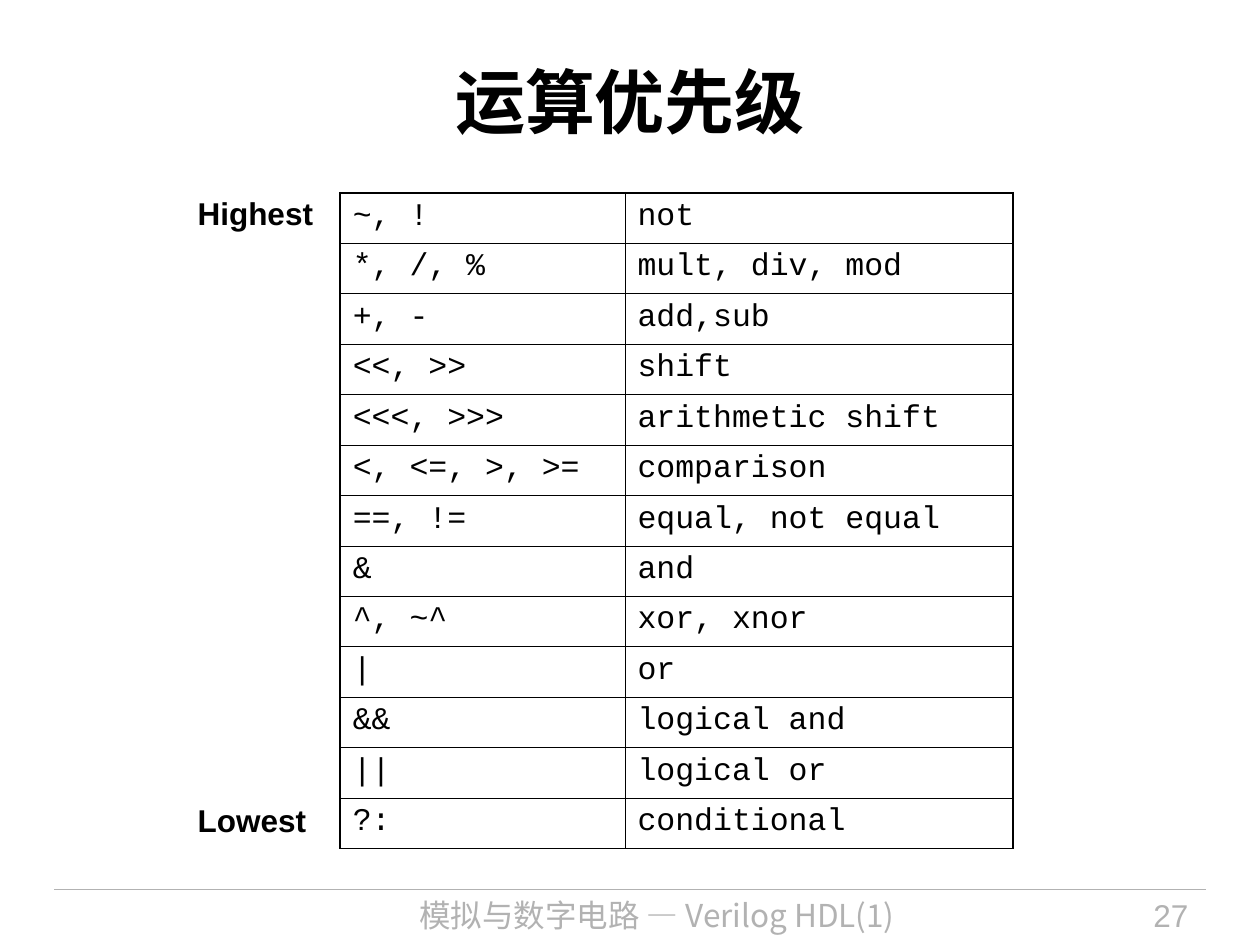
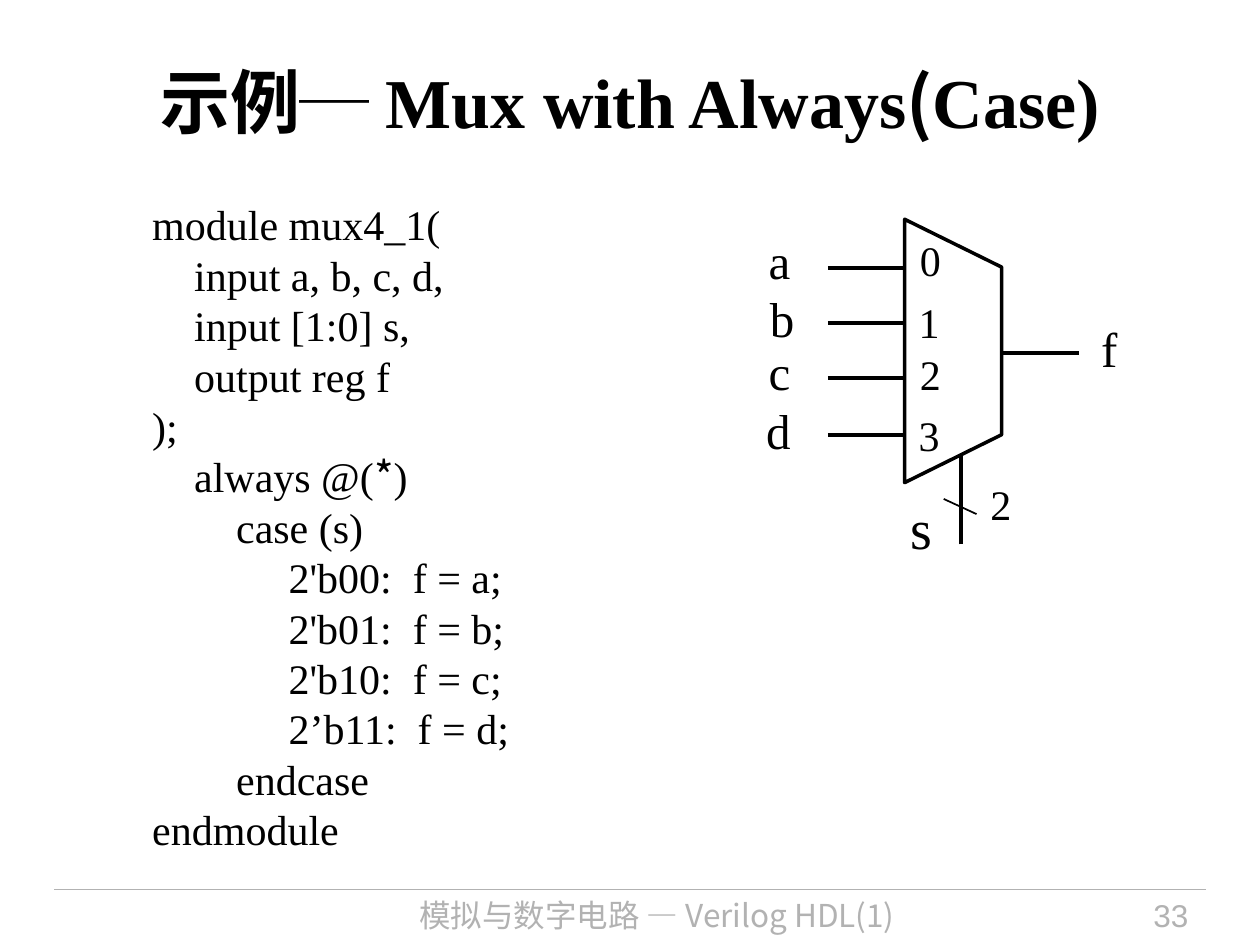
"""Build two Verilog HDL lecture slides: operator precedence and a case multiplexer."""
from lxml import etree
from pptx import Presentation
from pptx import util as u
from pptx.dml.color import RGBColor
from pptx.enum import shapes, text
from pptx.oxml import ns

BLACK, GRAY = "000000", "B2B2B2"
SERIF, SANS, MONO, CHINESE = "Times New Roman", "Arial", "Courier New", "Noto Sans CJK SC"
FOOTER = "模拟与数字电路 — Verilog HDL(1)"


def write_text(frame, lines, size=18, font=SERIF, color=BLACK, bold=False, align="LEFT",
               anchor="TOP", margins=(0.1, 0.05), spacing=None):
    """Fill a text frame; each line is a string or a list of (text, font) runs."""
    frame.word_wrap = True
    frame.vertical_anchor = text.MSO_ANCHOR[anchor]
    frame.margin_left = frame.margin_right = u.Inches(margins[0])
    frame.margin_top = frame.margin_bottom = u.Inches(margins[1])
    for index, line in enumerate([lines] if isinstance(lines, str) else lines):
        paragraph = frame.add_paragraph() if index else frame.paragraphs[0]
        paragraph.alignment = text.PP_ALIGN[align]
        if spacing:
            paragraph.line_spacing = u.Pt(spacing)
        for words, face in [(line, font)] if isinstance(line, str) else line:
            run = paragraph.add_run()
            run.text = words
            run.font.name, run.font.size, run.font.bold = face, u.Pt(size), bold
            run.font.color.rgb = RGBColor.from_string(color)
            etree.SubElement(run.font._element, ns.qn("a:ea"), typeface=CHINESE)


def add_line(container, start, end, width, color=BLACK):
    """Draw a straight line between two points given in inches."""
    line = container.add_connector(shapes.MSO_CONNECTOR.STRAIGHT, *map(u.Inches, start + end))
    line.line.width = u.Pt(width)
    line.line.color.rgb = RGBColor.from_string(color)
    etree.SubElement(line._element.spPr, ns.qn("a:effectLst"))


presentation = Presentation()
presentation.slide_width, presentation.slide_height = u.Inches(10), u.Inches(7.5)

mux_title = [("示例", SERIF), ("─ ", CHINESE), ("Mux with Always", SERIF),
             ("(", CHINESE), ("Case)", SERIF)]
slides = []
for title, number in [("运算优先级", "27"), (mux_title, "33")]:
    slide = presentation.slides.add_slide(presentation.slide_layouts[6])
    slides.append(slide)
    add_line(slide.shapes, (0.43, 7.06), (9.57, 7.06), 0.75, GRAY)
    for box, lines, style in [
        ((0.5, 0.17, 9, 1.25), [title],
         dict(size=40, bold=True, align="CENTER", anchor="MIDDLE")),
        ((2.4, 7.06, 5.63, 0.44), FOOTER, dict(font=CHINESE, color=GRAY, align="CENTER")),
        ((8.2, 7.06, 1.33, 0.44), number, dict(font=SANS, color=GRAY, align="RIGHT")),
    ]:
        shape = slide.shapes.add_textbox(*map(u.Inches, box))
        write_text(shape.text_frame, lines, **style)
precedence_slide, mux_slide = slides

operators = [
    ("~, !", "not"),
    ("*, /, %", "mult, div, mod"),
    ("+, -", "add,sub"),
    ("<<, >>", "shift"),
    ("<<<, >>>", "arithmetic shift"),
    ("<, <=, >, >=", "comparison"),
    ("==, !=", "equal, not equal"),
    ("&", "and"),
    ("^, ~^", "xor, xnor"),
    ("|", "or"),
    ("&&", "logical and"),
    ("||", "logical or"),
    ("?:", "conditional"),
]
last_row = len(operators) - 1
table = precedence_slide.shapes.add_table(
    len(operators), 2, *map(u.Inches, (2.7, 1.53, 5.34, 5.2))).table
table.first_row = table.horz_banding = False
table.columns[0].width, table.columns[1].width = u.Inches(2.26), u.Inches(3.08)
for row, entries in enumerate(operators):
    table.rows[row].height = u.Inches(0.4)
    for column, entry in enumerate(entries):
        cell = table.cell(row, column)
        write_text(cell.text_frame, entry, font=MONO)
        cell.margin_left = cell.margin_right = u.Inches(0.1)
        cell.margin_top = cell.margin_bottom = u.Inches(0.05)
        properties = cell._tc.get_or_add_tcPr()
        for side, outer in [("L", column == 0), ("R", column == 1),
                            ("T", row == 0), ("B", row == last_row)]:
            border = etree.SubElement(properties, ns.qn(f"a:ln{side}"),
                                      w=str(u.Pt(1.08 if outer else 0.45)))
            fill = etree.SubElement(border, ns.qn("a:solidFill"))
            etree.SubElement(fill, ns.qn("a:srgbClr"), val=BLACK)
        cell.fill.background()

for label, top in [("Highest", 1.49), ("Lowest", 6.31)]:
    shape = precedence_slide.shapes.add_textbox(*map(u.Inches, (1.47, top, 1.92, 0.4)))
    write_text(shape.text_frame, label, font=SANS, bold=True)

code = [
    "module mux4_1(",
    "    input a, b, c, d,",
    "    input [1:0] s,",
    "    output reg f",
    ");",
    [("    always @(", SERIF), ("*", CHINESE), (")", SERIF)],
    "        case (s)",
    "             2'b00:  f = a;",
    "             2'b01:  f = b;",
    "             2'b10:  f = c;",
    "             2’b11:  f = d;",
    "        endcase",
    "endmodule",
]
shape = mux_slide.shapes.add_textbox(*map(u.Inches, (1.11, 1.53, 4.69, 5.44)))
write_text(shape.text_frame, code, size=24, spacing=28.8)

mux = mux_slide.shapes.add_group_shape().shapes
outline = [(u.Inches(x), u.Inches(y))
           for x, y in [(7.18, 1.74), (7.95, 2.12), (7.95, 3.45), (7.18, 3.83)]]
builder = mux.build_freeform(*outline[0])
builder.add_line_segments(outline[1:], close=True)
body = builder.convert_to_shape()
body.shadow.inherit = False
body.fill.background()
body.line.width = u.Pt(2)
body.line.color.rgb = RGBColor.from_string(BLACK)

for wire in (2.13, 2.56, 3, 3.45):
    add_line(mux, (6.57, wire), (7.18, wire), 2.25)
add_line(mux, (7.95, 2.8), (8.56, 2.8), 2.25)
add_line(mux, (7.63, 4.32), (7.63, 3.61), 2.25)
add_line(mux, (7.49, 3.96), (7.75, 4.08), 1)

for label, left, top, size in [
    ("a", 6.1, 1.83, 28), ("b", 6.11, 2.29, 28), ("c", 6.1, 2.71, 28), ("d", 6.08, 3.18, 28),
    ("0", 7.3, 1.86, 24), ("1", 7.29, 2.35, 24), ("2", 7.3, 2.77, 24), ("3", 7.29, 3.25, 24),
    ("f", 8.74, 2.53, 28), ("s", 7.23, 3.92, 32), ("2", 7.86, 3.8, 24),
]:
    shape = mux.add_textbox(*map(u.Inches, (left, top, 0.2, size / 60)))
    write_text(shape.text_frame, label, size=size, margins=(0, 0))

presentation.save("out.pptx")
